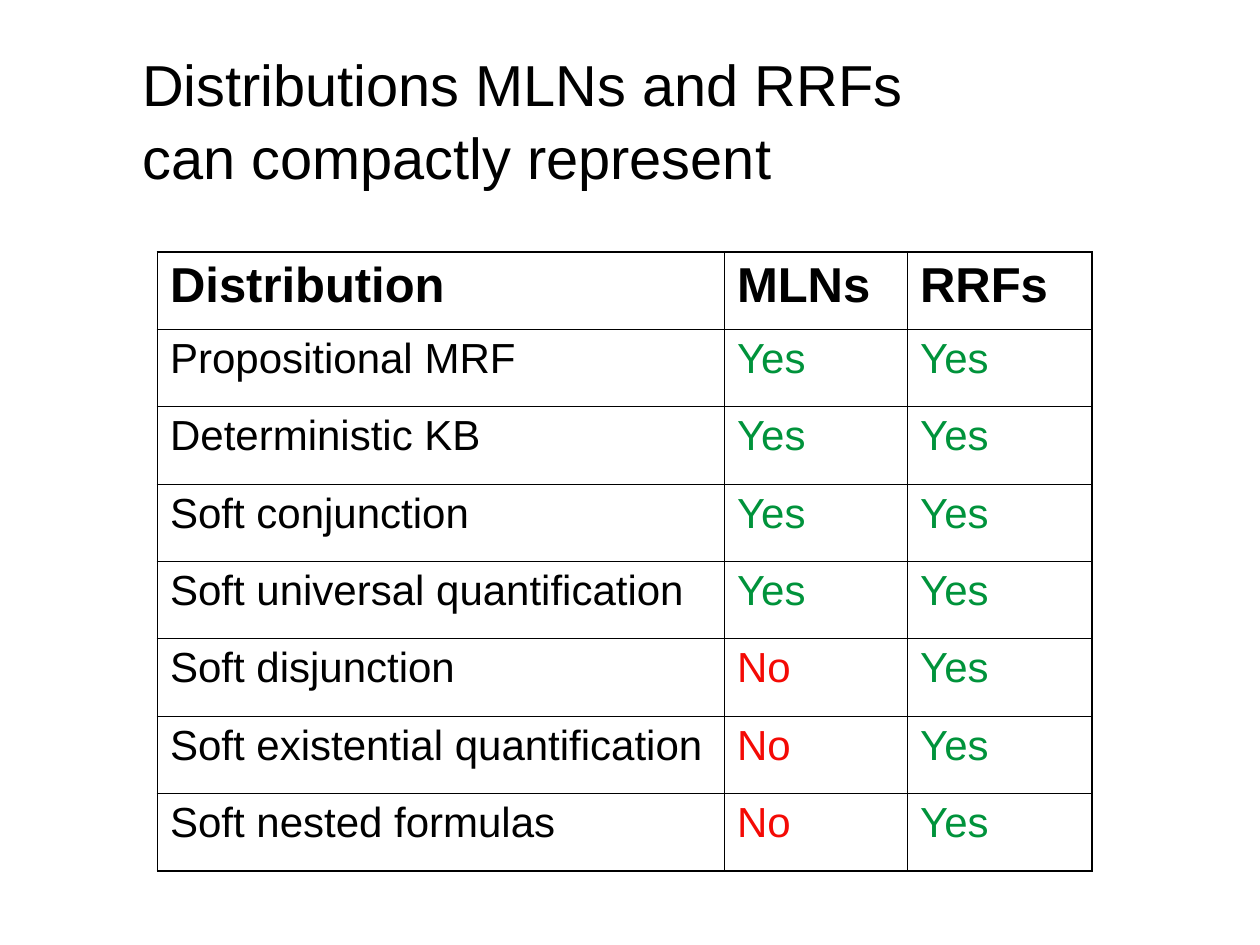
"""Build a slide comparing the distributions MLNs and RRFs can represent."""
from lxml import etree
from pptx import Presentation
from pptx.dml.color import RGBColor
from pptx.enum.text import MSO_ANCHOR
from pptx.oxml.ns import qn
from pptx.util import Pt

MIDDLE = MSO_ANCHOR.MIDDLE
BLACK = RGBColor(0x00, 0x00, 0x00)
GREEN = RGBColor(0x00, 0x93, 0x3B)
RED = RGBColor(0xF4, 0x0A, 0x05)
ANSWER_COLORS = {"Yes": GREEN, "No": RED}
FONT = "Arial"
OUTER, INNER = Pt(1.08), Pt(0.45)

TITLE = ["Distributions MLNs and RRFs", "can compactly represent"]
ROWS = [
    ("Distribution", "MLNs", "RRFs"),
    ("Propositional MRF", "Yes", "Yes"),
    ("Deterministic KB", "Yes", "Yes"),
    ("Soft conjunction", "Yes", "Yes"),
    ("Soft universal quantification", "Yes", "Yes"),
    ("Soft disjunction", "No", "Yes"),
    ("Soft existential quantification", "No", "Yes"),
    ("Soft nested formulas", "No", "Yes"),
]
COL_WIDTHS = [324, 104.6, 105.6]
ROW_HEIGHT = 44.2


def add_run(p, text, size, color, bold=False):
    r = p.add_run()
    r.text = text
    r.font.name = FONT
    r.font.size = Pt(size)
    r.font.bold = bold
    r.font.color.rgb = color


def add_border(cell, side, width):
    ln = etree.SubElement(cell._tc.get_or_add_tcPr(), qn(f"a:ln{side}"), w=str(width))
    fill = etree.SubElement(ln, qn("a:solidFill"))
    etree.SubElement(fill, qn("a:srgbClr"), val=str(BLACK))


prs = Presentation()
prs.slide_width, prs.slide_height = Pt(720), Pt(540)
s = prs.slides.add_slide(prs.slide_layouts[6])

title = s.shapes.add_textbox(Pt(74.2), Pt(34.6), Pt(565.2), Pt(66.2))
tf = title.text_frame
tf.word_wrap = True
tf.vertical_anchor = MIDDLE
p = tf.paragraphs[0]
p.line_spacing = 1.05
for i, line in enumerate(TITLE):
    if i:
        p.add_line_break()
    add_run(p, line, 33, BLACK)

n_rows, n_cols = len(ROWS), len(COL_WIDTHS)
frame = s.shapes.add_table(n_rows, n_cols, Pt(90), Pt(144),
                           Pt(sum(COL_WIDTHS)), Pt(ROW_HEIGHT * n_rows))
table = frame.table
table.first_row = False
table.horz_banding = False
for col, width in zip(table.columns, COL_WIDTHS):
    col.width = Pt(width)

for i, row in enumerate(ROWS):
    table.rows[i].height = Pt(ROW_HEIGHT)
    header = i == 0
    for j, text in enumerate(row):
        cell = table.cell(i, j)
        add_run(cell.text_frame.paragraphs[0], text, 28 if header else 24,
                ANSWER_COLORS.get(text, BLACK), header)
        on_edge = {"L": j == 0, "R": j == n_cols - 1,
                   "T": header, "B": i == n_rows - 1}
        for side, outer in on_edge.items():
            add_border(cell, side, OUTER if outer else INNER)
        cell.fill.background()

prs.save("out.pptx")
